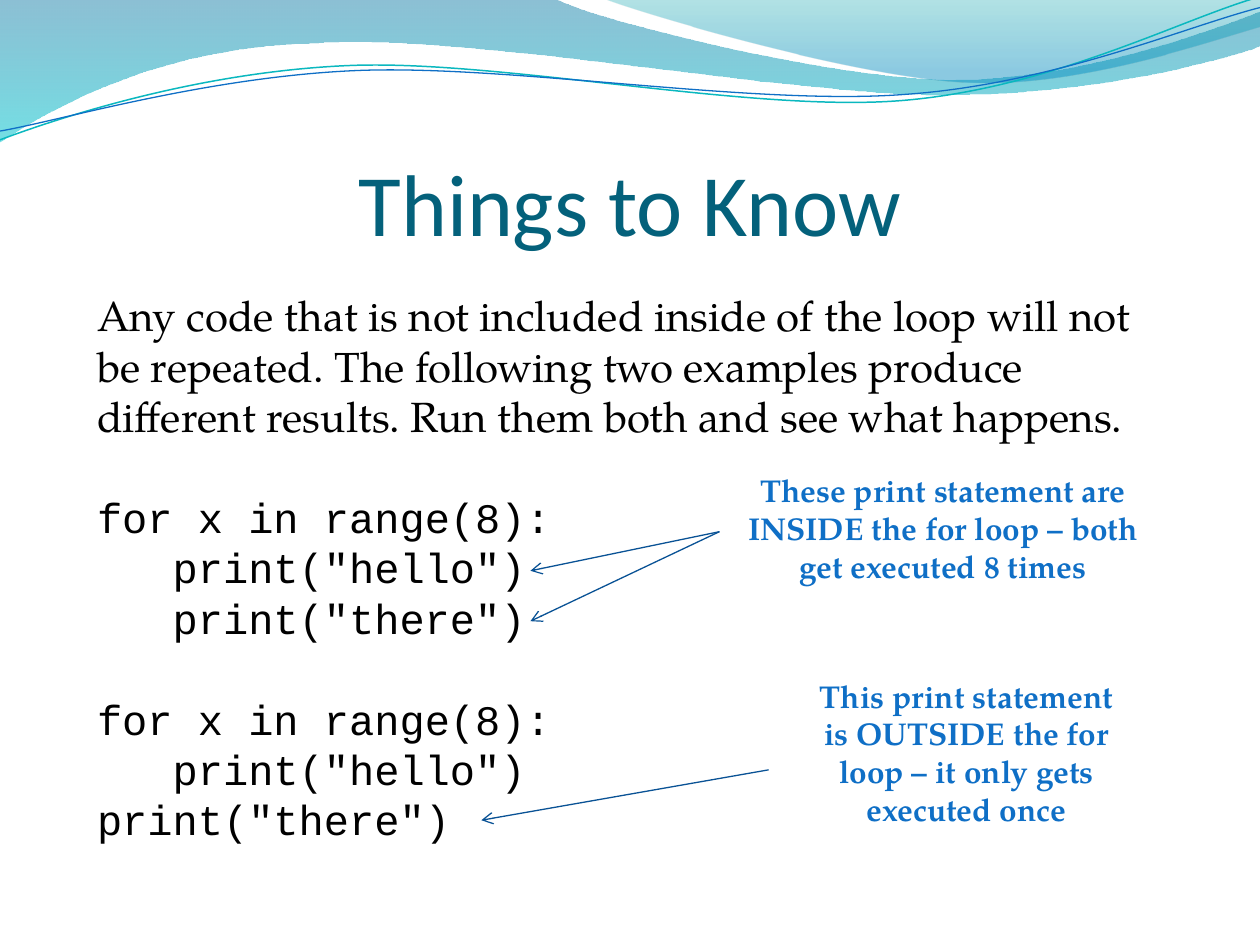
import math

from lxml import etree
from pptx import Presentation, util as u
from pptx.dml import color
from pptx.enum import shapes, text
from pptx.oxml import ns

PX = 9144
INK, TEAL, BLUE, NAVY = "000000", "04617B", "0F6FC6", "095295"
SERIF, MONO = "TeX Gyre Pagella", "Courier New"
PITCH = 28.8
TILT = -2.7


def rgb(value):
    return color.RGBColor.from_string(value)


def add_run(paragraph, words, font, size, ink, bold=False):
    run = paragraph.add_run()
    run.text = words
    run.font.name, run.font.size, run.font.bold = font, u.Pt(size), bold
    run.font.color.rgb = rgb(ink)


presentation = Presentation()
presentation.slide_width, presentation.slide_height = 1000 * PX, 750 * PX
slide = presentation.slides.add_slide(presentation.slide_layouts[1])
title, body = slide.placeholders

waves = [
    ([(0, 0), [(440, -1)], [(476, 17), (664, 63), (758, 63)],
      [(853, 63), (958, 26), (1000, 9)], [(1001, 36)],
      [(983, 44), (870, 76), (746, 75)], [(622, 75), (382, 28), (257, 34)],
      [(129, 36), (46, 83), (-1, 113)], [(0, 0)]],
     [(0, "0074A1", 45), (1, "00C6CF", 55)], None, None),
    ([(479, -1), [(509, 11), (682, 62), (769, 65)],
      [(856, 69), (961, 32), (1000, 21)], [(1000, 0)], [(479, -1)]],
     [(0, "00A1A9", 30), (0.8, "008BBF", 45)], None, None),
    ([(0, 111), [(48, 93), (158, 57), (277, 52)],
      [(395, 47), (593, 89), (713, 80)], [(833, 71), (938, 15), (998, -2)]],
     None, ("0AB8BF", 0.85), (499, 57.5)),
    ([(0, 104), [(47, 96), (164, 61), (283, 56)],
      [(403, 51), (597, 84), (717, 75)], [(836, 67), (941, 21), (1000, 6)]],
     None, (BLUE, 0.75), (499.5, 59)),
]
for (start, *segments), stops, stroke, pivot in waves:
    points = [start] + [point for segment in segments for point in segment]
    if pivot:
        cosine, sine = math.cos(math.radians(-TILT)), math.sin(math.radians(-TILT))
        points = [(pivot[0] + (x - pivot[0]) * cosine - (y - pivot[1]) * sine,
                   pivot[1] + (x - pivot[0]) * sine + (y - pivot[1]) * cosine)
                  for x, y in points]
    outline = [(round(x * PX), round(y * PX)) for x, y in points]
    builder = slide.shapes.build_freeform(*outline[0], scale=1.0)
    builder.add_line_segments(outline[1:], close=stops is not None)
    wave = builder.convert_to_shape()
    wave.shadow.inherit = False
    edges = iter(list(wave.element.iter(ns.qn("a:lnTo"))))
    for segment in segments:
        group = [next(edges) for point in segment]
        if len(group) == 3:
            curve = etree.Element(ns.qn("a:cubicBezTo"))
            group[0].addprevious(curve)
            for edge in group:
                curve.append(edge[0])
                edge.getparent().remove(edge)
    if stops:
        wave.line.fill.background()
        wave.fill.gradient()
        wave.fill.gradient_angle = 270
        for stop, (position, ink, opacity) in zip(wave.fill.gradient_stops, stops):
            stop.position = position
            stop.color.rgb = rgb(ink)
        for node, (position, ink, opacity) in zip(wave.element.iter(ns.qn("a:srgbClr")), stops):
            etree.SubElement(node, ns.qn("a:alpha"), val=str(opacity * 1000))
    else:
        wave.rotation = TILT
        wave.fill.background()
        wave.line.color.rgb = rgb(stroke[0])
        wave.line.width = u.Pt(stroke[1])
    title.element.addprevious(wave.element)

title.left, title.top, title.width, title.height = [n * PX for n in (50, 77, 900, 125)]
frame = title.text_frame
frame.auto_size = text.MSO_AUTO_SIZE.NONE
frame.vertical_anchor = text.MSO_ANCHOR.BOTTOM
frame.margin_left = frame.margin_right = frame.margin_bottom = 0
frame.paragraphs[0].alignment = text.PP_ALIGN.CENTER
add_run(frame.paragraphs[0], "Things to Know", "Calibri", 50, TEAL)

body.left, body.top, body.width, body.height = [n * PX for n in (67, 225, 882, 454)]
frame = body.text_frame
frame.auto_size = text.MSO_AUTO_SIZE.NONE
frame.vertical_anchor = text.MSO_ANCHOR.TOP
lines = [
    ("Any code that is not included inside of the loop will not be repeated. "
     "The following two examples produce different results. "
     "Run them both and see what happens.", SERIF, 0, 0),
    ("for x in range(8):", MONO, 0, PITCH),
    ('print("hello")', MONO, 60, 0),
    ('print("there")', MONO, 60, 0),
    ("for x in range(8):", MONO, 0, PITCH),
    ('print("hello")', MONO, 60, 0),
    ('print("there")', MONO, 0, 0),
]
for index, (words, font, indent, gap) in enumerate(lines):
    paragraph = frame.add_paragraph() if index else frame.paragraphs[0]
    paragraph.space_before, paragraph.space_after = u.Pt(gap), u.Pt(0)
    if index:
        paragraph.line_spacing = u.Pt(PITCH)
    properties = paragraph._p.get_or_add_pPr()
    properties.set("marL", str(indent * PX))
    properties.set("indent", "0")
    etree.SubElement(properties, ns.qn("a:buNone"))
    add_run(paragraph, words, font, 24, INK)

notes = [
    ((633, 532, 268, 131),
     "This print statement is OUTSIDE the for loop – it only gets executed once"),
    ((579, 369, 339, 101),
     "These print statement are INSIDE the for loop – both get executed 8 times"),
]
for box, words in notes:
    note = slide.shapes.add_textbox(*[n * PX for n in box])
    note.text_frame.word_wrap = True
    paragraph = note.text_frame.paragraphs[0]
    paragraph.alignment = text.PP_ALIGN.CENTER
    add_run(paragraph, words, SERIF, 18, BLUE, True)

for ends in [(610, 611, 382, 651), (571, 422, 421, 493), (571, 422, 421, 453)]:
    arrow = slide.shapes.add_connector(shapes.MSO_CONNECTOR.STRAIGHT, *[n * PX for n in ends])
    arrow.line.color.rgb = rgb(NAVY)
    arrow.line.width = u.Pt(0.75)
    etree.SubElement(arrow.line._get_or_add_ln(), ns.qn("a:tailEnd"), type="arrow")
    etree.SubElement(arrow.element.spPr, ns.qn("a:effectLst"))

presentation.save("out.pptx")
